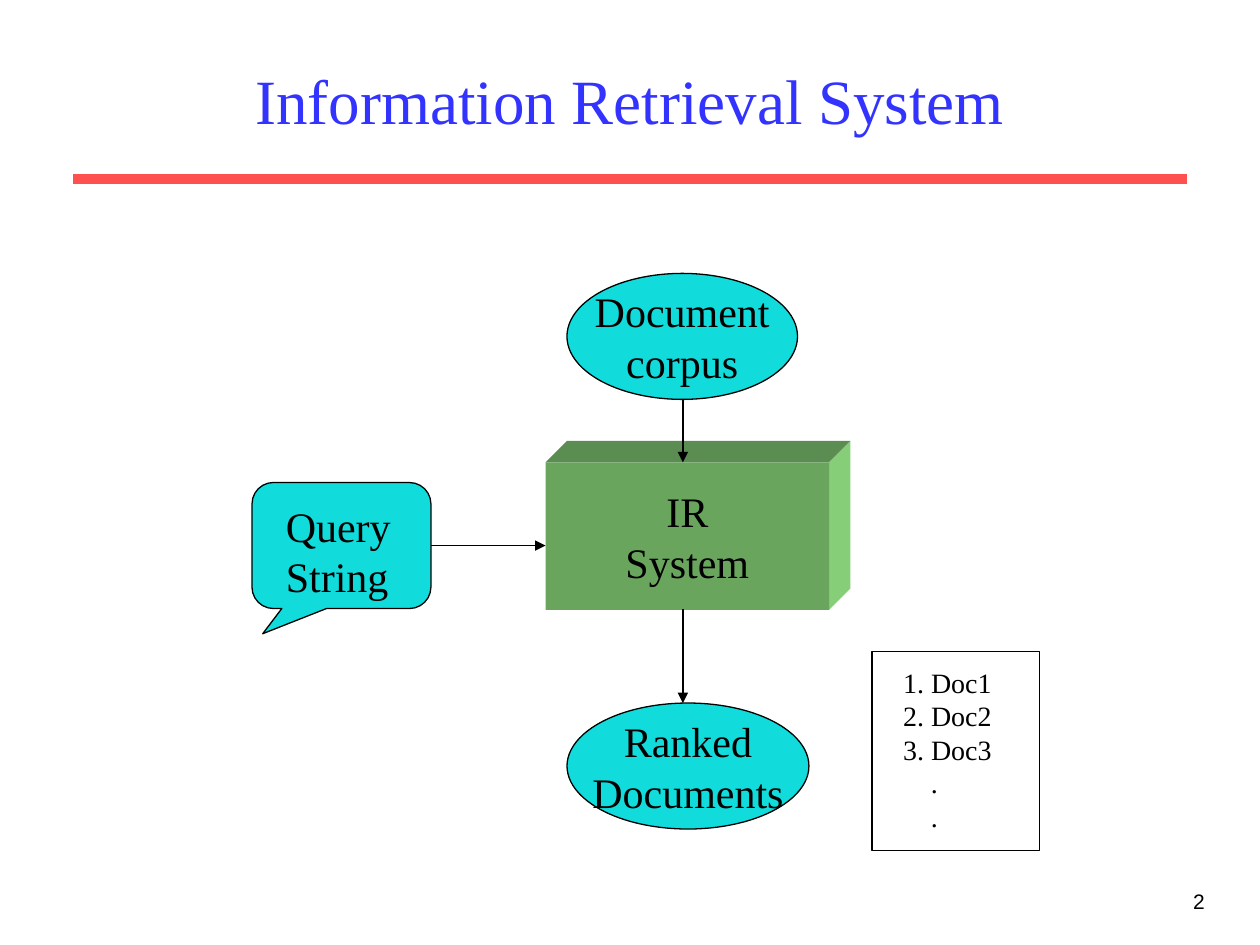
from lxml.etree import SubElement
from pptx import Presentation
from pptx.dml.color import RGBColor
from pptx.enum.shapes import MSO_CONNECTOR, MSO_SHAPE
from pptx.enum.text import MSO_ANCHOR, PP_ALIGN
from pptx.oxml.ns import qn
from pptx.util import Inches, Pt


def paint(part, color):
    if hasattr(part, "solid"):
        part.solid()
        part = part.fore_color
    part.rgb = RGBColor.from_string(color)


def write(shape, lines, size, align, color="000000", font="Times New Roman"):
    frame = shape.text_frame
    for i, line in enumerate(lines):
        para = frame.paragraphs[0] if i == 0 else frame.add_paragraph()
        para.alignment = align
        run = para.add_run()
        run.text = line
        run.font.size = Pt(size)
        run.font.name = font
        paint(run.font.color, color)
    return frame


deck = Presentation()
deck.slide_width = Inches(10)
deck.slide_height = Inches(7.5)
slide = deck.slides.add_slide(deck.slide_layouts[5])
shapes = slide.shapes

title = shapes.title
title.left, title.top = Inches(0.75), Inches(0.25)
title.width, title.height = Inches(8.5), Inches(1.08)
frame = write(title, ["Information Retrieval System"], 36, PP_ALIGN.CENTER, "3333FF")
frame.vertical_anchor = MSO_ANCHOR.MIDDLE

page = shapes.add_textbox(Inches(7.58), Inches(7), Inches(2.08), Inches(0.5))
write(page, ["2"], 12, PP_ALIGN.RIGHT, font="Arial").word_wrap = True

x, y, w, h, depth = 4.33, 3.67, 2.25, 1.17, 0.17
right, base = x + w, y + h
faces = [
    ("5B8C51", [(x, y), (x + depth, y - depth), (right + depth, y - depth), (right, y)]),
    ("86CE78", [(right, y), (right + depth, y - depth), (right + depth, base - depth), (right, base)]),
]
for color, points in faces:
    spots = [(Inches(a), Inches(b)) for a, b in points]
    pen = shapes.build_freeform(*spots[0])
    pen.add_line_segments(spots[1:])
    face = pen.convert_to_shape()
    face.shadow.inherit = False
    paint(face.fill, color)
    face.line.fill.background()

nodes = [
    ("box", MSO_SHAPE.RECTANGLE, (x, y, w, h), "6AA55E", ["IR", "System"]),
    ("query", MSO_SHAPE.ROUNDED_RECTANGULAR_CALLOUT, (2, 3.83, 1.42, 1), "11DBDB", []),
    ("corpus", MSO_SHAPE.OVAL, (4.5, 2.17, 1.83, 1), "11DBDB", ["Document", "corpus"]),
    ("ranked", MSO_SHAPE.OVAL, (4.5, 5.58, 1.92, 1), "11DBDB", ["Ranked", "Documents"]),
    ("sheet", MSO_SHAPE.RECTANGLE, (6.92, 5.17, 1.33, 1.58), "FFFFFF", []),
]
made = {}
for name, kind, place, color, lines in nodes:
    node = shapes.add_shape(kind, *map(Inches, place))
    node.shadow.inherit = False
    paint(node.fill, color)
    if name == "box":
        node.line.fill.background()
    else:
        paint(node.line.fill, "000000")
        node.line.width = Pt(0.75)
    frame = write(node, lines, 24, PP_ALIGN.CENTER)
    frame.word_wrap = False
    frame.vertical_anchor = MSO_ANCHOR.MIDDLE
    made[name] = node

query = made["query"]
for i, value in enumerate([-0.44, 0.7, 0.17]):
    query.adjustments[i] = value
label = shapes.add_textbox(Inches(2.17), Inches(3.92), Inches(1.03), Inches(0.9))
write(label, ["Query String"], 24, PP_ALIGN.LEFT).word_wrap = True

docs = shapes.add_textbox(Inches(7.07), Inches(5.23), Inches(0.9), Inches(1.74))
frame = write(docs, ["1. Doc1", "2. Doc2", "3. Doc3", ".", "."], 16, PP_ALIGN.LEFT)
frame.word_wrap = False
for para in frame.paragraphs[3:]:
    para._p.get_or_add_pPr().set("marL", str(Inches(0.22)))

lines = [
    ("rule", (0.58, 1.42, 9.42, 1.42), "FF5050", 6),
    ("ask", (3.42, 4.33, 4.33, 4.33), "000000", 0.75),
    ("feed", (5.42, 3.17, 5.42, 3.67), "000000", 0.75),
    ("give", (5.42, 4.83, 5.42, 5.58), "000000", 0.75),
]
for name, ends, color, width in lines:
    line = shapes.add_connector(MSO_CONNECTOR.STRAIGHT, *map(Inches, ends))
    paint(line.line.fill, color)
    line.line.width = Pt(width)
    if name == "ask":
        line.begin_connect(query, 3)
    if name != "rule":
        SubElement(line.line._get_or_add_ln(), qn("a:tailEnd"), type="triangle")
    SubElement(line._element.spPr, qn("a:effectLst"))

deck.save("out.pptx")
